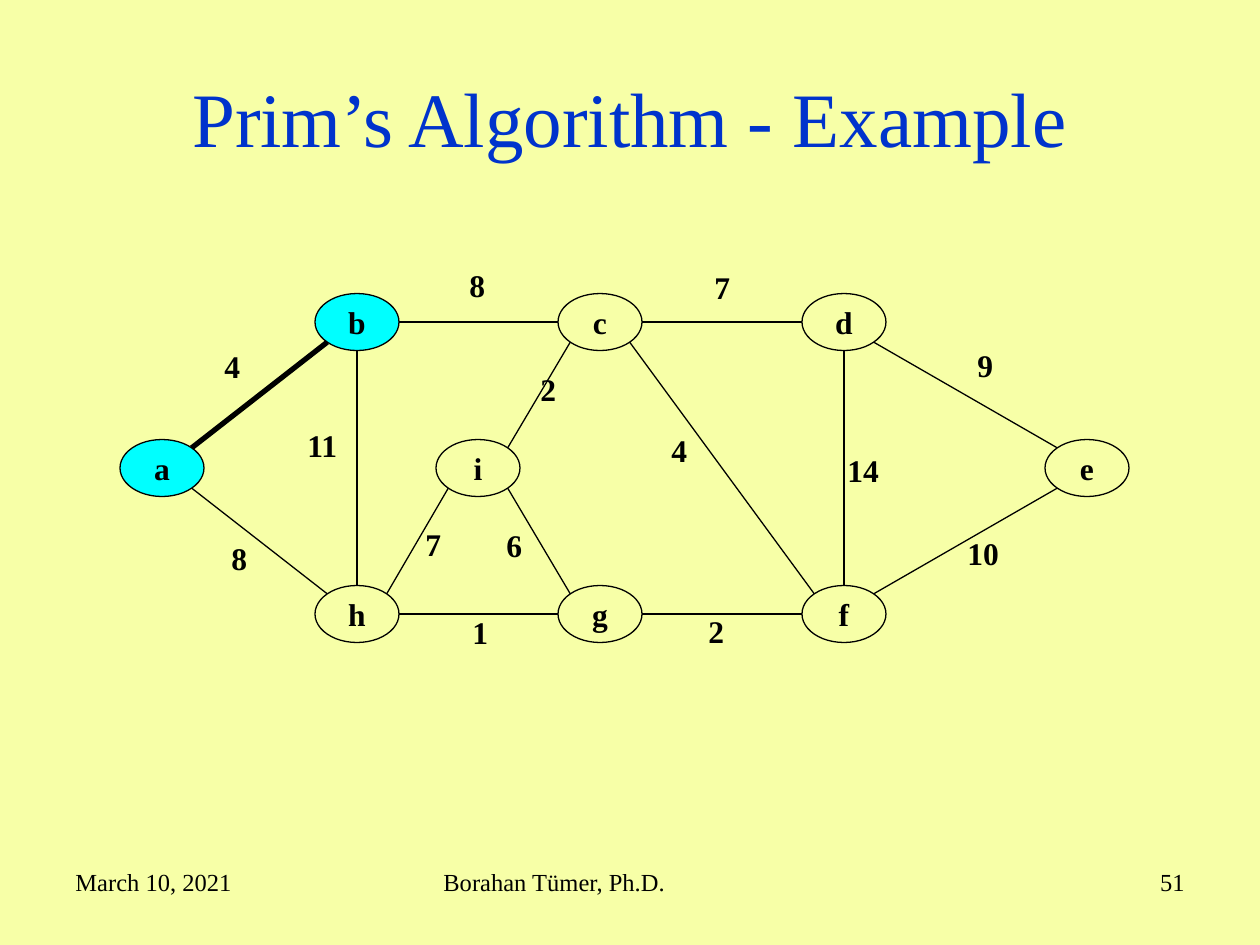
from math import sqrt

from lxml import etree
from pptx import Presentation
from pptx import util as u
from pptx.dml import color
from pptx.enum import shapes, text
from pptx.oxml import ns

SCALE = u.Inches(1) / 126
FONT = "Times New Roman"
BLACK = "000000"
CYAN = "00FFFF"
NODE_WIDTH, NODE_HEIGHT = 84, 57
TOP, MIDDLE, BOTTOM = 322, 468, 614

NODES = {
    "a": (162, MIDDLE), "b": (357, TOP), "c": (600, TOP),
    "d": (844, TOP), "e": (1087, MIDDLE), "i": (478, MIDDLE),
    "h": (357, BOTTOM), "g": (600, BOTTOM), "f": (844, BOTTOM),
}
VISITED = "ab"
TREE_EDGES = ["ab"]
EDGES = [
    ("ab", "4", 212, 341), ("bc", "8", 457, 260), ("cd", "7", 702, 262),
    ("de", "9", 965, 340), ("df", "14", 835, 445), ("fe", "10", 955, 528),
    ("cf", "4", 659, 425), ("gf", "2", 696, 606), ("ig", "6", 494, 520),
    ("ic", "2", 528, 364), ("bh", "11", 295, 420), ("ah", "8", 219, 533),
    ("hg", "1", 460, 607), ("hi", "7", 413, 519),
]
FOOTERS = [
    ("March 10, 2021", 63, 294, text.PP_ALIGN.LEFT),
    ("Borahan Tümer, Ph.D.", 431, 399, text.PP_ALIGN.LEFT),
    ("51", 903, 294, text.PP_ALIGN.RIGHT),
]


def px(*lengths):
    return [u.Emu(round(length * SCALE)) for length in lengths]


def rgb(value):
    return color.RGBColor.from_string(value)


def write(box, words, size, align, ink=BLACK, bold=False):
    para = box.text_frame.paragraphs[0]
    para.alignment = align
    span = para.add_run()
    span.text = words
    span.font.name = FONT
    span.font.size = u.Pt(size)
    span.font.bold = bold
    span.font.color.rgb = rgb(ink)


def add_title(page, words):
    title = page.shapes.title
    title.left, title.top, title.width, title.height = px(63, 38, 1134, 158)
    title.text_frame.vertical_anchor = text.MSO_ANCHOR.MIDDLE
    write(title, words, 44, text.PP_ALIGN.CENTER, "0033CC")


def add_footer(page, words, left, width, align):
    box = page.shapes.add_textbox(*px(left, 861, width, 66))
    box.text_frame.word_wrap = True
    write(box, words, 14, align)


def add_node(page, name):
    x, y = NODES[name]
    node = page.shapes.add_shape(
        shapes.MSO_SHAPE.OVAL,
        *px(x - NODE_WIDTH / 2, y - NODE_HEIGHT / 2, NODE_WIDTH, NODE_HEIGHT))
    node.shadow.inherit = False
    if name in VISITED:
        node.fill.solid()
        node.fill.fore_color.rgb = rgb(CYAN)
    else:
        node.fill.background()
    node.line.color.rgb = rgb(BLACK)
    node.line.width = u.Pt(0.75)
    node.text_frame.word_wrap = False
    node.text_frame.vertical_anchor = text.MSO_ANCHOR.MIDDLE
    write(node, name, 18, text.PP_ALIGN.CENTER, bold=True)


def sign(value):
    return (value > 0) - (value < 0)


def add_edge(page, ends):
    (x1, y1), (x2, y2) = [NODES[name] for name in ends]
    across, down = sign(x2 - x1), sign(y2 - y1)
    reach = sqrt(0.5) if across and down else 1
    dx = across * reach * NODE_WIDTH / 2
    dy = down * reach * NODE_HEIGHT / 2
    edge = page.shapes.add_connector(
        shapes.MSO_CONNECTOR.STRAIGHT, *px(x1 + dx, y1 + dy, x2 - dx, y2 - dy))
    edge.line.color.rgb = rgb(BLACK)
    edge.line.width = u.Pt(3 if ends in TREE_EDGES else 0.75)
    etree.SubElement(edge._element.spPr, ns.qn("a:effectLst"))


def add_weight(page, weight, left, top):
    width = 41 if len(weight) == 1 else 57
    box = page.shapes.add_textbox(*px(left, top, width, 50))
    box.text_frame.word_wrap = False
    box.text_frame.auto_size = text.MSO_AUTO_SIZE.SHAPE_TO_FIT_TEXT
    write(box, weight, 18, text.PP_ALIGN.LEFT, bold=True)


def main():
    deck = Presentation()
    deck.slide_width, deck.slide_height = px(1260, 945)
    page = deck.slides.add_slide(deck.slide_layouts.get_by_name("Title Only"))
    page.background.fill.solid()
    page.background.fill.fore_color.rgb = rgb("F7FFA7")
    add_title(page, "Prim’s Algorithm - Example")
    for footer in FOOTERS:
        add_footer(page, *footer)
    for name in NODES:
        add_node(page, name)
    for ends, weight, left, top in EDGES:
        add_edge(page, ends)
        add_weight(page, weight, left, top)
    deck.save("out.pptx")


if __name__ == "__main__":
    main()
